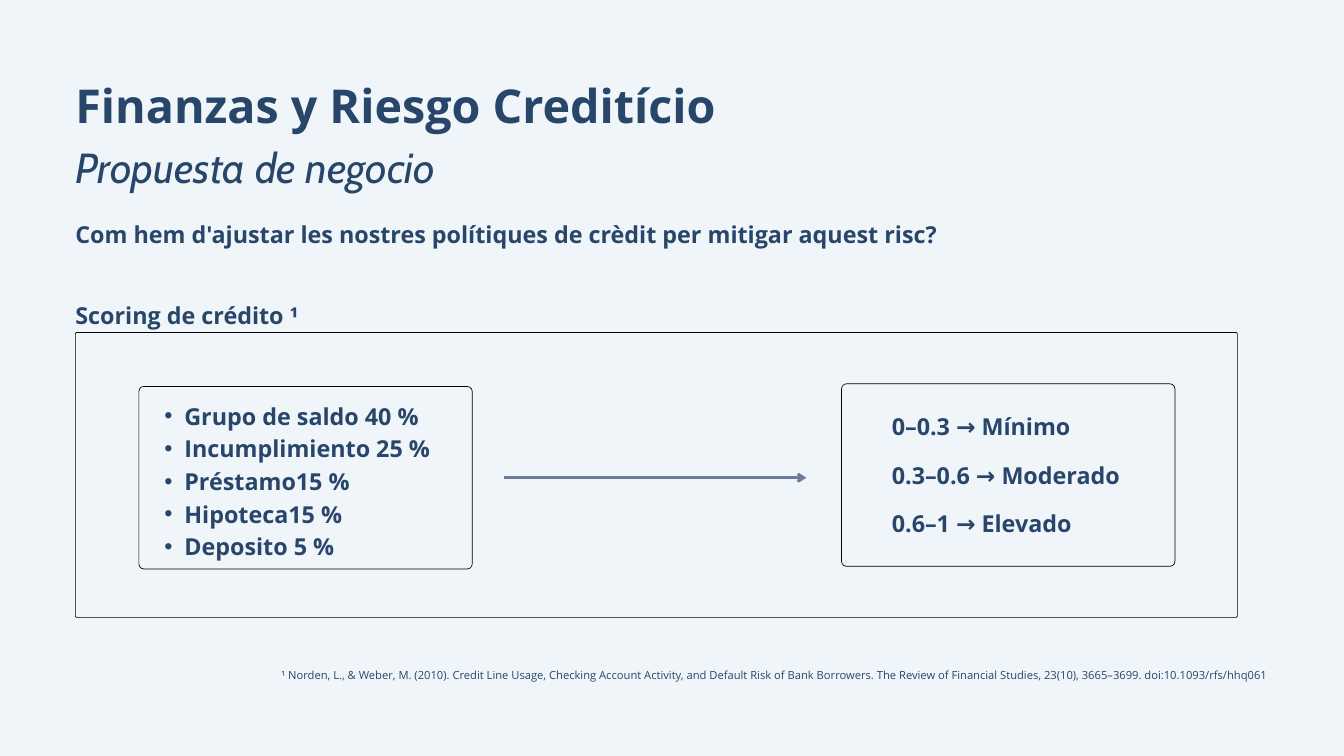
import lxml.etree
import pptx
import pptx.dml.color
import pptx.enum.shapes
import pptx.enum.text
import pptx.oxml.ns
import pptx.util

Cm = pptx.util.Cm
Pt = pptx.util.Pt
RGBColor = pptx.dml.color.RGBColor

PAPER = RGBColor(0xF0, 0xF5, 0xFA)
NAVY = RGBColor(0x28, 0x46, 0x69)
SLATE = RGBColor(0x6A, 0x7F, 0x97)
BLACK = RGBColor(0x00, 0x00, 0x00)

WEIGHTS = [
    "Grupo de saldo 40 %",
    "Incumplimiento 25 %",
    "Préstamo15 %",
    "Hipoteca15 %",
    "Deposito 5 %",
]
LEVELS = ["0–0.3 → Mínimo", "0.3–0.6 → Moderado", "0.6–1 → Elevado"]
REFERENCE = (
    "¹ Norden, L., & Weber, M. (2010). Credit Line Usage, Checking Account Activity, "
    "and Default Risk of Bank Borrowers. The Review of Financial Studies, 23(10), "
    "3665–3699. doi:10.1093/rfs/hhq061"
)


def add_child(parent, tag, **attributes):
    """Append a DrawingML element to an XML parent."""
    return lxml.etree.SubElement(parent, pptx.oxml.ns.qn(tag), attributes)


def add_text(page, box, lines, size, spacing, bold=True):
    """Place lines of navy text in a box without margins and return the paragraphs."""
    frame = page.shapes.add_textbox(*map(Cm, box)).text_frame
    frame.word_wrap = True
    frame.margin_left = frame.margin_top = frame.margin_right = frame.margin_bottom = 0
    frame.text = "\n".join(lines)
    for para in frame.paragraphs:
        para.line_spacing = Pt(spacing)
        for span in para.runs:
            span.font.name = "Open Sans"
            span.font.size = Pt(size)
            span.font.bold = bold
            span.font.color.rgb = NAVY
    return frame.paragraphs


def add_outline(page, box, radius):
    """Draw an unfilled rounded rectangle with a corner radius in centimetres."""
    shape = page.shapes.add_shape(
        pptx.enum.shapes.MSO_SHAPE.ROUNDED_RECTANGLE, *map(Cm, box)
    )
    shape.adjustments[0] = radius / box[3]
    shape.shadow.inherit = False
    shape.fill.background()
    shape.line.color.rgb = BLACK
    shape.line.width = Pt(0.75)


def add_heading(page, box):
    """Place the title, the subtitle and the question below them."""
    left, top, width, height = box
    lines = ["Finanzas y Riesgo Creditício", "Propuesta de negocio"]
    title, subtitle = add_text(page, (left, top, width, 4.65), lines, 50, 70)
    subtitle.line_spacing = Pt(63)
    font = subtitle.runs[0].font
    font.name = "Cabin"
    font.size = Pt(45)
    font.bold = False
    font.italic = True
    question = "Com hem d'ajustar les nostres polítiques de crèdit per mitigar aquest risc?"
    add_text(page, (left, top + height - 1.17, width, 1.17), [question], 25, 35)


def add_weights(page, box):
    """Draw the box with the bulleted scoring weights."""
    left, top, width, height = box
    add_outline(page, box, 0.19)
    inner = (left + 0.22, top + 0.4, width - 0.53, height - 0.83)
    for para in add_text(page, inner, WEIGHTS, 25, 35):
        para.level = 1
        properties = para._p.get_or_add_pPr()
        properties.set("marL", str(Cm(1.5)))
        properties.set("indent", str(Cm(-0.76)))
        add_child(properties, "a:buFont", typeface="Arial")
        add_child(properties, "a:buChar", char="•")


def add_levels(page, box):
    """Draw the box with the risk levels."""
    left, top, width, height = box
    add_outline(page, box, 0.19)
    inner = (left + 1.9, top + 1.22, 8.8, 4.57)
    for para in add_text(page, inner, LEVELS, 25, 26)[1:]:
        para.space_before = Pt(26)


def add_arrow(page, start, end, middle):
    """Draw the horizontal arrow between the two boxes."""
    arrow = page.shapes.add_connector(
        pptx.enum.shapes.MSO_CONNECTOR.STRAIGHT, *map(Cm, (start, middle, end, middle))
    )
    arrow.line.color.rgb = SLATE
    arrow.line.width = Pt(3)
    add_child(arrow.line._get_or_add_ln(), "a:tailEnd", type="arrow")
    add_child(arrow._element.spPr, "a:effectLst")


def add_scoring(page, box):
    """Draw the framed scoring diagram with its caption above."""
    left, top, width, height = box
    add_text(page, (left, top - 1.37, 9.42, 1.17), ["Scoring de crédito ¹"], 25, 35)
    add_outline(page, box, 0.06)
    add_weights(page, (left + 2.4, top + 2.04, 12.6, 6.9))
    add_levels(page, (left + 28.96, top + 1.94, 12.6, 6.9))
    add_arrow(page, left + 16.2, left + 27.63, top + 5.49)


def add_footnote(page, box):
    """Place the right-aligned reference."""
    (para,) = add_text(page, box, [REFERENCE], 12, 16.8, bold=False)
    para.alignment = pptx.enum.text.PP_ALIGN.RIGHT


def main():
    """Build the slide and save the deck."""
    deck = pptx.Presentation()
    deck.slide_width = Cm(50.8)
    deck.slide_height = Cm(28.58)
    page = deck.slides.add_slide(deck.slide_layouts[6])
    page.background.fill.solid()
    page.background.fill.fore_color.rgb = PAPER
    add_heading(page, (2.85, 2.57, 45.08, 6.73))
    add_scoring(page, (2.85, 12.57, 43.92, 10.77))
    add_footnote(page, (8.97, 25.17, 38.99, 0.56))
    deck.save("out.pptx")


if __name__ == "__main__":
    main()
